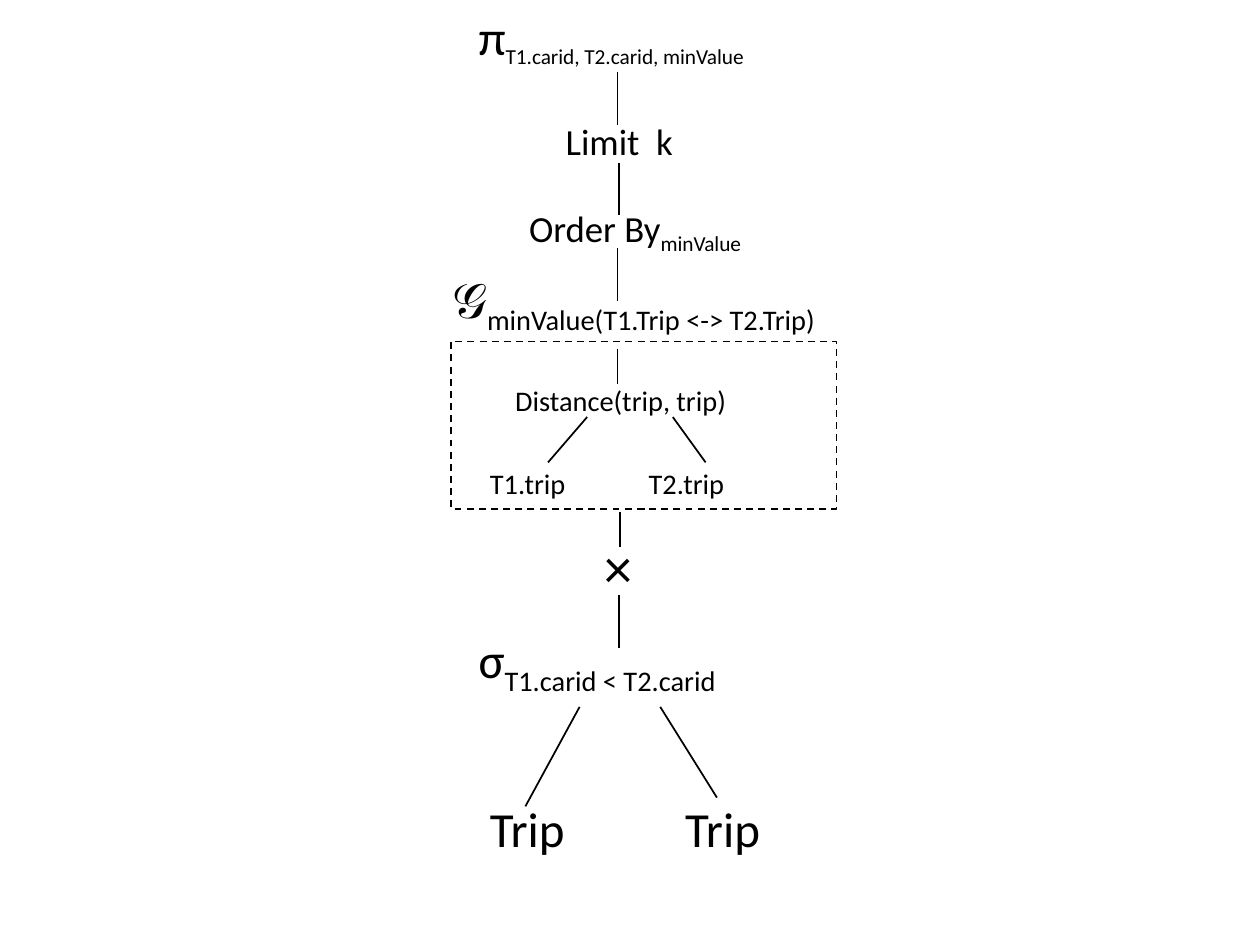
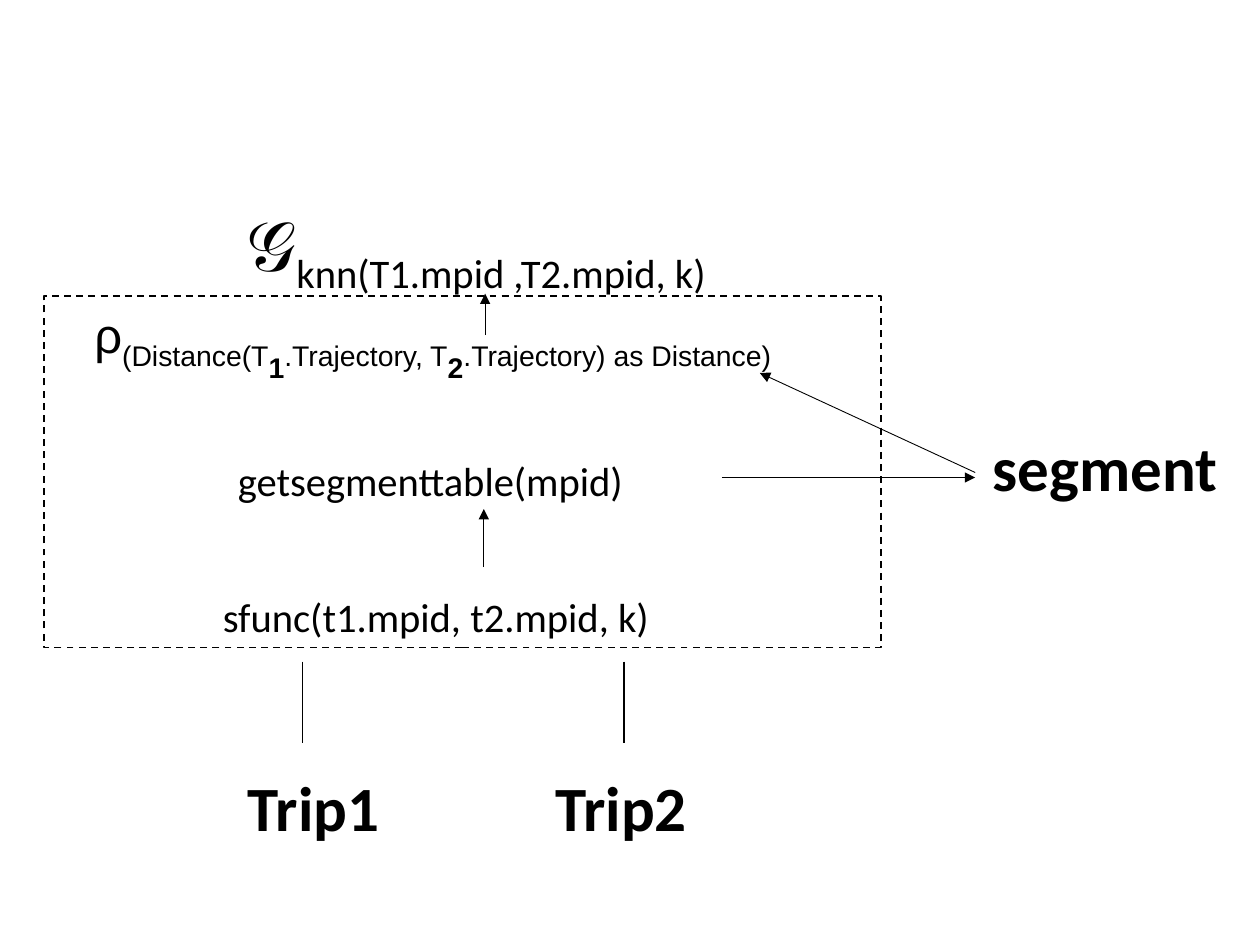
from pptx import Presentation
from pptx.dml.color import RGBColor
from pptx.enum.dml import MSO_LINE
from pptx.enum.shapes import MSO_CONNECTOR, MSO_SHAPE
from pptx.enum.text import MSO_AUTO_SIZE
from pptx.oxml.ns import qn
from pptx.util import Inches, Pt
from lxml.etree import SubElement

COLORS = {"ink": "000000", "page": "FFFFFF"}
INK = RGBColor.from_string(COLORS["ink"])
SUB, LOW = -25, -50  # baseline shift in percent


class Area:
    """A region of a slide; its parts are placed from its top left corner."""

    def __init__(self, slide, left, top):
        self.shapes = slide.shapes
        self.left, self.top = left, top

    def spot(self, x, y):
        return Inches(self.left + x), Inches(self.top + y)

    def text(self, x, y, w, h, *parts, size=28, font="Calibri", bold=False):
        """Each part is (words, shift) or (words, shift, own size)."""
        box = self.shapes.add_textbox(*self.spot(x, y), Inches(w), Inches(h))
        frame = box.text_frame
        frame.word_wrap = True
        frame.auto_size = MSO_AUTO_SIZE.SHAPE_TO_FIT_TEXT
        for words, shift, *own in parts:
            run = frame.paragraphs[0].add_run()
            run.text = words
            run.font.name = font
            run.font.size = Pt(own[0] if own else size)
            run.font.bold = bold or shift == LOW
            run.font.color.rgb = INK
            if shift:
                run.font._element.set("baseline", str(shift * 1000))

    def line(self, x1, y1, x2, y2, arrow=False):
        wire = self.shapes.add_connector(
            MSO_CONNECTOR.STRAIGHT, *self.spot(x1, y1), *self.spot(x2, y2))
        wire.line.color.rgb = INK
        wire.line.width = Pt(0.5 if arrow else 1)
        if arrow:
            SubElement(wire.line._get_or_add_ln(), qn("a:tailEnd"), type="triangle")
        SubElement(wire._element.spPr, qn("a:effectLst"))

    def frame(self, w, h):
        rect = self.shapes.add_shape(
            MSO_SHAPE.RECTANGLE, *self.spot(0, 0), Inches(w), Inches(h))
        rect.shadow.inherit = False
        rect.fill.background()
        rect.line.color.rgb = INK
        rect.line.width = Pt(1)
        rect.line.dash_style = MSO_LINE.DASH


def output(area):
    """Projection, limit, order and grouping, from top to bottom."""
    area.text(0.21, 0, 2.99, 0.57, ("π", 0), ("T1.carid, T2.carid, minValue", SUB, 21))
    area.text(0.9, 0.89, 2.09, 0.45, ("Limit  k", 0), size=21)
    area.text(0.61, 1.58, 2.09, 0.45, ("Order By", 0), ("minValue", SUB), size=21)
    area.text(0, 2.09, 3.85, 0.57, ("𝒢", 0), ("minValue(T1.Trip <-> T2.Trip)", SUB))
    for x, y in ((1.41, 0.57), (1.42, 1.29), (1.41, 1.97)):
        area.line(x, y, x, y + 0.42)


def distance(area):
    """Dashed box with the distance call and its two inputs."""
    area.frame(3.06, 1.33)
    area.line(1.32, 0.06, 1.32, 0.34)
    area.text(0.41, 0.02, 2.88, 0.57, ("Distance(trip, trip)", SUB))
    area.line(0.77, 0.96, 1.08, 0.6)
    area.line(1.76, 0.6, 2.02, 0.96)
    for i, name in enumerate(("T1.trip", "T2.trip")):
        area.text(0.21 + 1.26 * i, 0.68, 1.2, 0.57, (name, SUB))


def join(area):
    """Product and selection over the two trip tables."""
    area.line(1.22, 0, 1.22, 0.28)
    area.text(1, 0.12, 0.54, 0.64, ("×", 0), size=32)
    area.line(1.21, 0.66, 1.21, 1.08)
    area.text(0, 0.89, 2.88, 0.57, ("σ", 0), ("T1.carid < T2.carid", SUB))
    area.line(0.9, 1.55, 0.47, 2.34)
    area.line(1.54, 1.55, 1.99, 2.27)
    for x in (0.09, 1.64):
        area.text(x, 2.23, 0.83, 0.57, ("Trip", 0))


def steps(area):
    """Grouping above a dashed box with the three steps."""
    area.text(1.51, -0.8, 4.94, 0.77, ("𝒢", 0), ("knn(T1.mpid ,T2.mpid, k)", SUB), size=40)
    area.frame(6.64, 2.79)
    area.text(0.3, 0.02, 6.53, 0.57, ("ρ", 0), ("(Distance(T", SUB), ("1", LOW),
              (".Trajectory, T", SUB), ("2", LOW),
              (".Trajectory) as Distance)", SUB), font="Arial")
    area.text(1.44, 0.85, 3.97, 0.77, ("getsegmenttable(mpid)", SUB), size=40)
    area.text(1.32, 1.93, 5.8, 0.55, ("sfunc(t1.mpid, t2.mpid, k)", SUB), size=40)
    area.line(3.49, 2.15, 3.49, 1.69, arrow=True)
    area.line(3.5, 0.31, 3.5, -0.02, arrow=True)


def trips(area):
    """The two inputs below the dashed box."""
    for name, x, width, stem in (("Trip1", 0, 1.26, 0.53), ("Trip2", 2.44, 1.51, 3.08)):
        area.line(stem, 0, stem, 0.65)
        area.text(x, 0.8, width, 0.71, (name, 0), size=36, bold=True)


def segment(area):
    """Segment table with the arrows to and from the steps."""
    area.text(2.05, 0.39, 2.01, 0.71, ("segment", 0), size=36, bold=True)
    area.line(0, 0.83, 2.01, 0.83, arrow=True)
    area.line(2.01, 0.79, 0.3, 0, arrow=True)


def main():
    deck = Presentation()
    deck.slide_width, deck.slide_height = Inches(10), Inches(7.5)
    plans = (
        ((output, 3.49, 0), (distance, 3.58, 2.71), (join, 3.7, 4.06)),
        ((steps, 0.35, 2.35), (trips, 1.87, 5.25), (segment, 5.73, 2.96)),
    )
    for plan in plans:
        slide = deck.slides.add_slide(deck.slide_layouts[6])
        fill = slide.background.fill
        fill.solid()
        fill.fore_color.rgb = RGBColor.from_string(COLORS["page"])
        for draw, left, top in plan:
            draw(Area(slide, left, top))
    deck.save("out.pptx")


if __name__ == "__main__":
    main()
